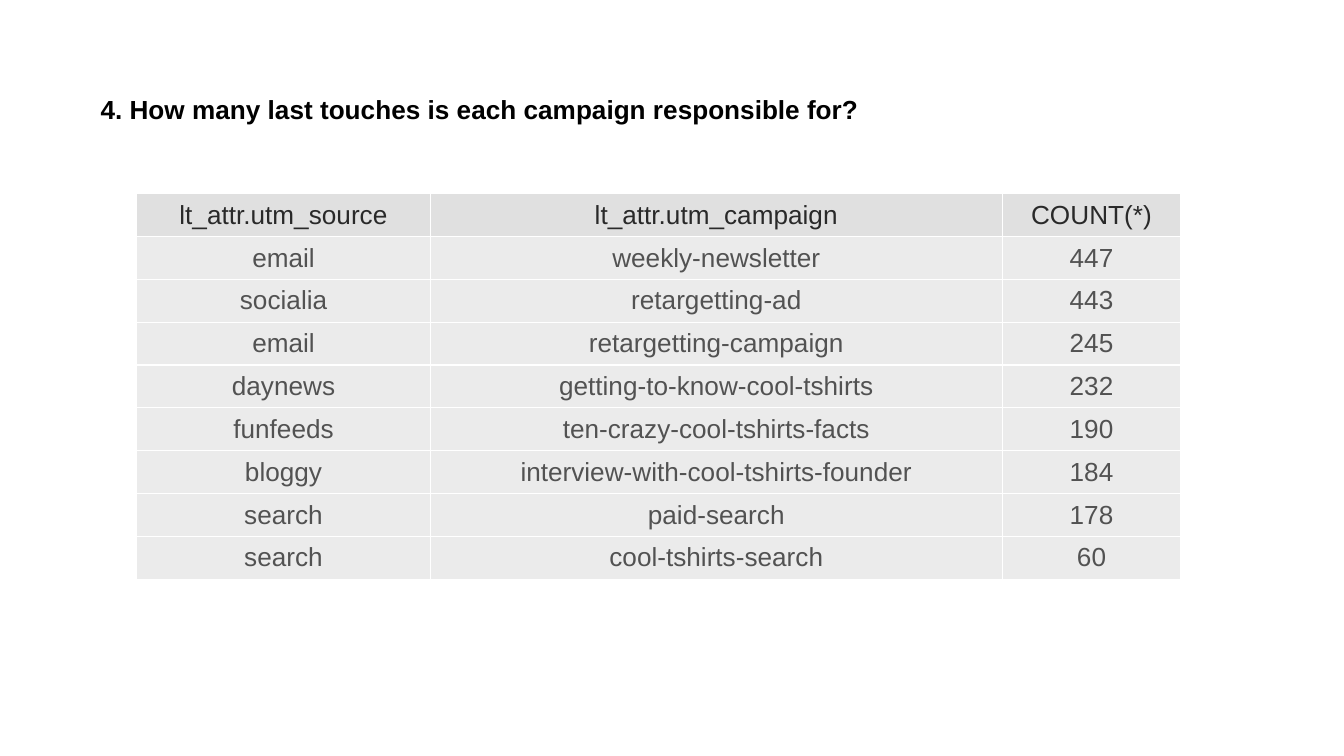
from lxml import etree
from pptx import Presentation
from pptx import util as u
from pptx.dml.color import RGBColor
from pptx.enum import text
from pptx.oxml import ns

BLACK = RGBColor(0x00, 0x00, 0x00)
WHITE = RGBColor(0xFF, 0xFF, 0xFF)
HEAD_TEXT = RGBColor(0x29, 0x29, 0x29)
BODY_TEXT = RGBColor(0x52, 0x52, 0x52)
HEAD_FILL = RGBColor(0xE0, 0xE0, 0xE0)
BODY_FILL = RGBColor(0xEB, 0xEB, 0xEB)

QUESTION = "4. How many last touches is each campaign responsible for?"
TOUCHES = [
    ("lt_attr.utm_source", "lt_attr.utm_campaign", "COUNT(*)"),
    ("email", "weekly-newsletter", "447"),
    ("socialia", "retargetting-ad", "443"),
    ("email", "retargetting-campaign", "245"),
    ("daynews", "getting-to-know-cool-tshirts", "232"),
    ("funfeeds", "ten-crazy-cool-tshirts-facts", "190"),
    ("bloggy", "interview-with-cool-tshirts-founder", "184"),
    ("search", "paid-search", "178"),
    ("search", "cool-tshirts-search", "60"),
]


class Deck:
    """Hold the text style and the current slide, and add elements to it."""

    def __init__(self, prs):
        self.font = {"name": "Arial", "size": u.Pt(14)}
        self.s = prs.slides.add_slide(prs.slide_layouts[1])
        title = self.s.shapes.title
        title.element.getparent().remove(title.element)

    def assign(self, obj, values):
        for name, value in values.items():
            setattr(obj, name, value)

    def add_words(self, p, words, color, bold=False):
        r = p.add_run()
        r.text = words
        self.assign(r.font, {**self.font, "bold": bold})
        r.font.color.rgb = color

    def question(self, words, left, top, width, height):
        sp = self.s.placeholders[1]
        self.assign(sp, {"left": u.Cm(left), "top": u.Cm(top),
                         "width": u.Cm(width), "height": u.Cm(height)})
        tf = sp.text_frame
        sides = ("left", "top", "right", "bottom")
        self.assign(tf, {f"margin_{side}": u.Cm(0.25) for side in sides})
        self.assign(tf, {"auto_size": text.MSO_AUTO_SIZE.NONE,
                         "vertical_anchor": text.MSO_ANCHOR.TOP})
        p = tf.paragraphs[0]
        pPr = p._p.get_or_add_pPr()
        pPr.set("marL", str(u.Cm(0.38)))
        pPr.set("indent", "0")
        etree.SubElement(pPr, ns.qn("a:buNone"))
        self.assign(p, {"line_spacing": 1.15, "space_before": u.Pt(0)})
        self.add_words(p, words, BLACK, bold=True)

    def border(self, cell):
        tcPr = cell._tc.get_or_add_tcPr()
        for i, side in enumerate(("lnL", "lnR", "lnT", "lnB")):
            ln = etree.Element(ns.qn(f"a:{side}"), w=str(u.Pt(0.75)))
            fill = etree.SubElement(ln, ns.qn("a:solidFill"))
            etree.SubElement(fill, ns.qn("a:srgbClr"), val=str(WHITE))
            tcPr.insert(i, ln)

    def table(self, rows, left, top, widths, row_height):
        frame = self.s.shapes.add_table(
            len(rows), len(widths), u.Cm(left), u.Cm(top),
            u.Cm(sum(widths)), u.Cm(row_height * len(rows)))
        table = frame.table
        for column, width in zip(table.columns, widths):
            column.width = u.Cm(width)
        for i, row in enumerate(rows):
            table.rows[i].height = u.Cm(row_height)
            fill, color = (BODY_FILL, BODY_TEXT) if i else (HEAD_FILL, HEAD_TEXT)
            for j, words in enumerate(row):
                cell = table.cell(i, j)
                self.assign(cell, {"vertical_anchor": text.MSO_ANCHOR.MIDDLE,
                                   "margin_top": u.Cm(0.1),
                                   "margin_bottom": u.Cm(0.1)})
                cell.fill.solid()
                cell.fill.fore_color.rgb = fill
                self.border(cell)
                p = cell.text_frame.paragraphs[0]
                p.alignment = text.PP_ALIGN.CENTER
                self.add_words(p, words, color)


def main():
    prs = Presentation()
    prs.slide_width, prs.slide_height = u.Cm(25.4), u.Cm(14.29)
    deck = Deck(prs)
    deck.question(QUESTION, 1.27, 1.42, 22.35, 2.24)
    deck.table(TOUCHES, 2.58, 3.66, (5.56, 10.8, 3.38), 0.81)
    prs.save("out.pptx")


if __name__ == "__main__":
    main()
